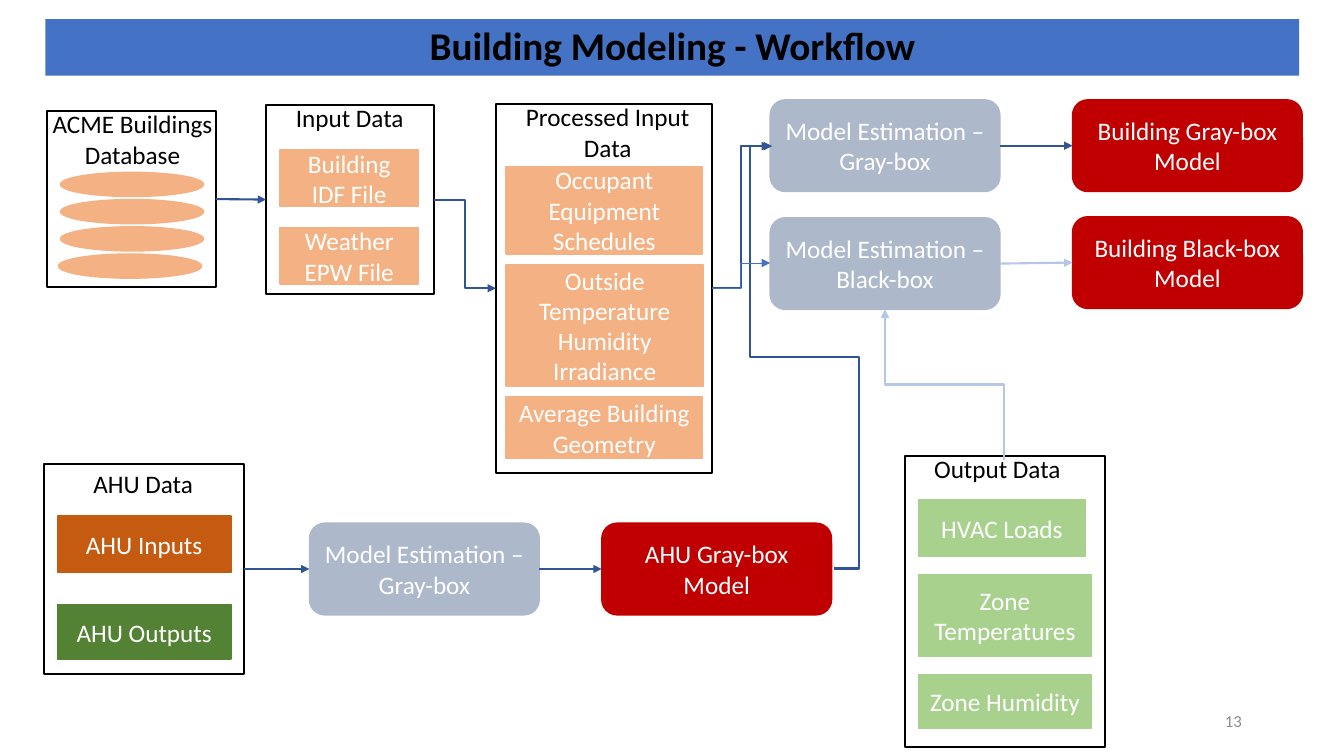
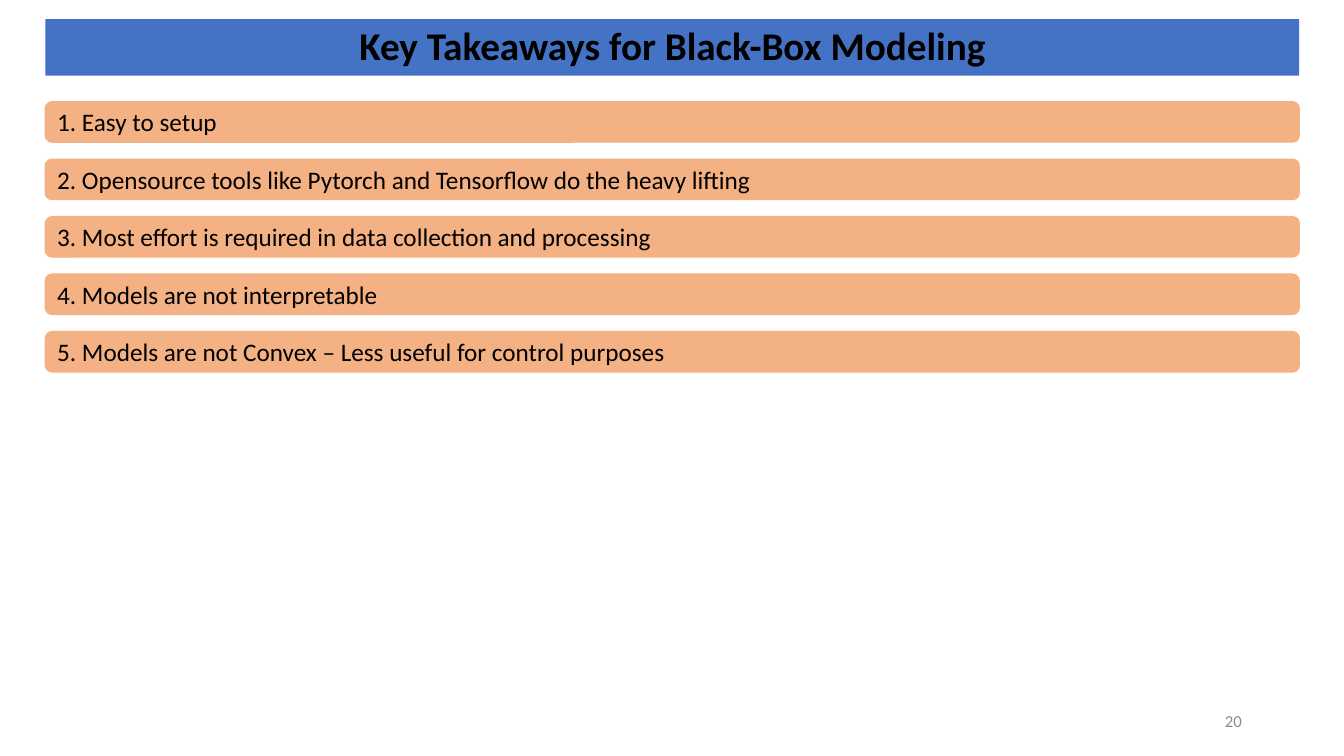
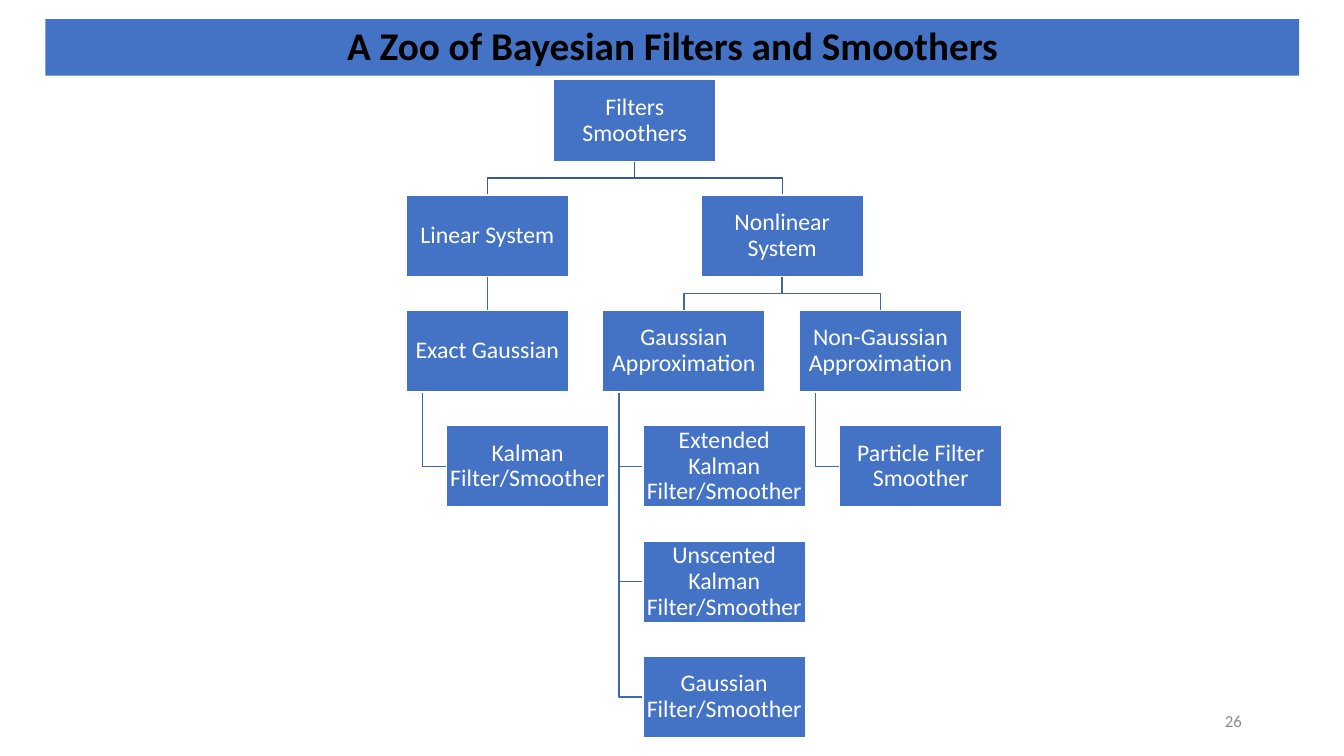
from dataclasses import dataclass

from lxml import etree
from pptx import Presentation
from pptx.dml.color import RGBColor
from pptx.enum import shapes, text
from pptx.oxml import ns
from pptx.util import Pt

PX = 9144  # 100 px to the inch


@dataclass(frozen=True)
class Theme:
    font: str = "Calibri"
    title_size: int = 28
    body_size: int = 18
    node_size: int = 17
    number_size: int = 12
    black: str = "000000"
    white: str = "FFFFFF"
    gray: str = "8C8C8C"
    blue: str = "4472C4"
    dark_blue: str = "2F5597"
    pale_blue: str = "B4C7E7"
    root_link: str = "365B9D"
    link: str = "3E67B2"
    peach: str = "F4B183"
    pale_green: str = "A9D18E"
    green: str = "548235"
    rust: str = "C55A11"
    slate: str = "ADB9CA"
    red: str = "C00000"


THEME = Theme()
RECT = shapes.MSO_SHAPE.RECTANGLE
ROUNDED = shapes.MSO_SHAPE.ROUNDED_RECTANGLE
OVAL = shapes.MSO_SHAPE.OVAL
CENTER, LEFT, RIGHT = text.PP_ALIGN.CENTER, text.PP_ALIGN.LEFT, text.PP_ALIGN.RIGHT

TITLE_BAND = (45, 19, 1244, 56)
PAGE_NUMBER = (942, 695, 300, 40)

# Workflow: outlined frames with a caption, filled cards, rounded steps
FRAMES = {
    "database": (47, 110, 167, 175),
    "input": (264, 104, 167, 188),
    "processed": (492, 103, 214, 366),
    "output": (898, 452, 198, 289),
    "ahu": (44, 460, 198, 209),
}
CAPTIONS = [
    ("ACME Buildings\nDatabase", (41, 103, 181, 71)),
    ("Input Data", (283, 97, 128, 40)),
    ("Processed Input\nData", (508, 96, 190, 71)),
    ("Output Data", (916, 445, 147, 40)),
    ("AHU Data", (82, 460, 120, 40)),
]
DISK_LEFTS = [60, 60, 60, 58]
CARDS = [
    ("Building IDF File", THEME.peach, (278, 149, 137, 56)),
    ("Weather EPW File", THEME.peach, (278, 226, 137, 56)),
    ("Occupant Equipment Schedules", THEME.peach, (502, 165, 195, 87)),
    ("Outside Temperature Humidity Irradiance", THEME.peach, (502, 263, 196, 120)),
    ("Average Building Geometry", THEME.peach, (502, 394, 195, 61)),
    ("HVAC Loads", THEME.pale_green, (911, 496, 166, 56)),
    ("Zone Temperatures", THEME.pale_green, (911, 570, 172, 81)),
    ("Zone Humidity", THEME.pale_green, (911, 669, 172, 54)),
    ("AHU Inputs", THEME.rust, (57, 512, 172, 56)),
    ("AHU Outputs", THEME.green, (57, 600, 172, 54)),
]
STEP_SIZE = (228, 91)
STEPS = {
    "ahu estimation": ("Model Estimation – Gray-box", THEME.slate, (307, 519)),
    "ahu model": ("AHU Gray-box Model", THEME.red, (597, 519)),
    "gray estimation": ("Model Estimation – Gray-box", THEME.slate, (764, 99)),
    "black estimation": ("Model Estimation – Black-box", THEME.slate, (764, 216)),
    "black model": ("Building Black-box Model", THEME.red, (1064, 215)),
    "gray model": ("Building Gray-box Model", THEME.red, (1064, 99)),
}
STRAIGHT_ARROWS = [
    ("database", "input", THEME.dark_blue),
    ("gray estimation", "gray model", THEME.dark_blue),
    ("black estimation", "black model", THEME.pale_blue),
    ("ahu", "ahu estimation", THEME.dark_blue),
    ("ahu estimation", "ahu model", THEME.dark_blue),
]
ELBOW_ARROWS = [
    dict(start=(706, 286), end=(764, 145), color=THEME.dark_blue),
    dict(start=(431, 198), end=(492, 286), color=THEME.dark_blue),
    dict(start=(827, 564), end=(766, 145), color=THEME.dark_blue,
         bends=(-40800, 50000, 136000)),
    dict(start=(706, 286), end=(764, 261), color=THEME.blue, width=0.5),
    dict(start=(996, 456), end=(878, 307), color=THEME.pale_blue, upright=True),
]

TAKEAWAYS = [
    "1. Easy to setup",
    "2. Opensource tools like Pytorch and Tensorflow do the heavy lifting",
    "3. Most effort is required in data collection and processing",
    "4. Models are not interpretable",
    "5. Models are not Convex – Less useful for control purposes",
]

ROOT = "Filters Smoothers"
SYSTEMS = [
    ("Linear System", [
        ("Exact Gaussian", ["Kalman Filter/Smoother"]),
    ]),
    ("Nonlinear System", [
        ("Gaussian Approximation", [
            "Extended Kalman Filter/Smoother",
            "Unscented Kalman Filter/Smoother",
            "Gaussian Filter/Smoother",
        ]),
        ("Non-Gaussian Approximation", ["Particle Filter Smoother"]),
    ]),
]
NODE_WIDTH, NODE_HEIGHT = 161, 81
TREE_LEFT, TREE_TOP = 403, 79
COLUMN_STEP, ROW_STEP = 195, 114.4
LEAF_INDENT, STEM_INDENT = 40, 16


def emu(*lengths):
    return [round(length * PX) for length in lengths]


def rgb(color):
    return RGBColor.from_string(color)


def write(box, words, size=THEME.body_size, color=THEME.white, align=CENTER,
          bold=False, spacing=None, anchor=text.MSO_ANCHOR.MIDDLE, wrap=True):
    frame = box.text_frame
    frame.text = words
    frame.word_wrap = wrap
    frame.vertical_anchor = anchor
    for para in frame.paragraphs:
        para.alignment = align
        para.line_spacing = spacing
        for span in para.runs:
            span.font.name = THEME.font
            span.font.size = Pt(size)
            span.font.bold = bold
            span.font.color.rgb = rgb(color)


def add_box(page, kind, place, fill=None, line=None, width=1):
    box = page.shapes.add_shape(kind, *emu(*place))
    box.shadow.inherit = False
    if fill:
        box.fill.solid()
        box.fill.fore_color.rgb = rgb(fill)
    else:
        box.fill.background()
    if line:
        box.line.color.rgb = rgb(line)
        box.line.width = Pt(width)
    else:
        box.line.fill.background()
    return box


def add_page(deck, title, number):
    """Add a blank slide with the title band and page number."""
    page = deck.slides.add_slide(deck.slide_layouts[6])
    band = add_box(page, RECT, TITLE_BAND, THEME.blue)
    write(band, title, THEME.title_size, THEME.black, bold=True, spacing=0.9)
    box = page.shapes.add_textbox(*emu(*PAGE_NUMBER))
    write(box, str(number), THEME.number_size, THEME.gray, RIGHT)
    return page


def add_arrow(page, kind, start, end, color, width=1.5):
    arrow = page.shapes.add_connector(kind, *emu(*start, *end))
    arrow.line.color.rgb = rgb(color)
    arrow.line.width = Pt(width)
    etree.SubElement(arrow.line._get_or_add_ln(), ns.qn("a:tailEnd"), type="triangle")
    etree.SubElement(arrow._element.spPr, ns.qn("a:effectLst"))
    return arrow


def add_elbow(page, start, end, color, width=1.5, upright=False, bends=()):
    """Add a bent arrow; upright ones leave and arrive vertically."""
    if upright:
        middle_x, middle_y = (start[0] + end[0]) / 2, (start[1] + end[1]) / 2
        start, end = [(middle_x - (y - middle_y), middle_y + (x - middle_x))
                      for x, y in (start, end)]
    arrow = add_arrow(page, shapes.MSO_CONNECTOR.ELBOW, start, end, color, width)
    properties = arrow._element.spPr
    if upright:
        properties.find(ns.qn("a:xfrm")).set("rot", str(270 * 60000))
    if bends:
        geometry = properties.find(ns.qn("a:prstGeom"))
        geometry.set("prst", f"bentConnector{len(bends) + 2}")
        guides = geometry.find(ns.qn("a:avLst"))
        for index, bend in enumerate(bends, 1):
            etree.SubElement(guides, ns.qn("a:gd"), name=f"adj{index}", fmla=f"val {bend}")


def add_link(page, points, color):
    first, *rest = [emu(*point) for point in points]
    builder = page.shapes.build_freeform(*first)
    builder.add_line_segments(rest, close=False)
    link = builder.convert_to_shape()
    link.shadow.inherit = False
    link.fill.background()
    link.line.color.rgb = rgb(color)
    link.line.width = Pt(1)


def build_workflow(deck):
    page = add_page(deck, "Building Modeling - Workflow", 13)
    for row, left in enumerate(DISK_LEFTS):
        add_box(page, OVAL, (left, 171 + 27 * row, 142, 24), THEME.peach, THEME.peach)
    stages = {name: add_box(page, RECT, place, line=THEME.black, width=1.5)
              for name, place in FRAMES.items()}
    for words, place in CAPTIONS:
        caption = page.shapes.add_textbox(*emu(*place))
        write(caption, words, color=THEME.black, anchor=text.MSO_ANCHOR.TOP, wrap=False)
    for words, color, place in CARDS:
        write(add_box(page, RECT, place, color, color), words)
    for name, (words, color, corner) in STEPS.items():
        stages[name] = add_box(page, ROUNDED, corner + STEP_SIZE, color, color)
        write(stages[name], words)
    for source, target, color in STRAIGHT_ARROWS:
        arrow = add_arrow(page, shapes.MSO_CONNECTOR.STRAIGHT, (0, 0), (0, 0), color)
        arrow.begin_connect(stages[source], 3)
        arrow.end_connect(stages[target], 1)
    for elbow in ELBOW_ARROWS:
        add_elbow(page, **elbow)


def build_takeaways(deck):
    page = add_page(deck, "Key Takeaways for Black-Box Modeling", 20)
    for row, words in enumerate(TAKEAWAYS):
        bar = add_box(page, ROUNDED, (45, 101 + 57 * row, 1244, 40), THEME.peach, THEME.peach)
        write(bar, words, color=THEME.black, align=LEFT)


def row_top(row):
    return TREE_TOP + ROW_STEP * row


def add_fork(page, left, row, child_lefts, color):
    """Link a node down to each child in the next row."""
    center = left + NODE_WIDTH / 2
    bottom, top = row_top(row) + NODE_HEIGHT, row_top(row + 1)
    middle = (bottom + top) / 2
    for child_left in child_lefts:
        child = child_left + NODE_WIDTH / 2
        points = [(center, bottom), (center, middle), (child, middle), (child, top)]
        add_link(page, points, color)


def build_tree(deck):
    page = add_page(deck, "A Zoo of Bayesian Filters and Smoothers", 26)
    nodes, system_lefts, column = [], [], 0
    for system, families in SYSTEMS:
        family_lefts = []
        for family, filters in families:
            left = TREE_LEFT + COLUMN_STEP * column
            column += 1
            family_lefts.append(left)
            nodes.append((family, left, 2))
            stem = left + STEM_INDENT
            for row, name in enumerate(filters, 3):
                nodes.append((name, left + LEAF_INDENT, row))
                middle = row_top(row) + NODE_HEIGHT / 2
                points = [(stem, row_top(2) + NODE_HEIGHT), (stem, middle),
                          (left + LEAF_INDENT, middle)]
                add_link(page, points, THEME.link)
        system_left = sum(family_lefts) / len(family_lefts)
        system_lefts.append(system_left)
        nodes.append((system, system_left, 1))
        add_fork(page, system_left, 1, family_lefts, THEME.link)
    root_left = sum(system_lefts) / len(system_lefts)
    nodes.append((ROOT, root_left, 0))
    add_fork(page, root_left, 0, system_lefts, THEME.root_link)

    for words, left, row in nodes:
        place = (left, row_top(row), NODE_WIDTH, NODE_HEIGHT)
        node = add_box(page, RECT, place, THEME.blue, THEME.white)
        frame = node.text_frame
        frame.margin_left = frame.margin_right = PX
        frame.margin_top = frame.margin_bottom = PX
        write(node, words, THEME.node_size, spacing=0.9)


def main():
    deck = Presentation()
    deck.slide_width, deck.slide_height = emu(1333.33, 750)
    build_workflow(deck)
    build_takeaways(deck)
    build_tree(deck)
    deck.save("out.pptx")


if __name__ == "__main__":
    main()
